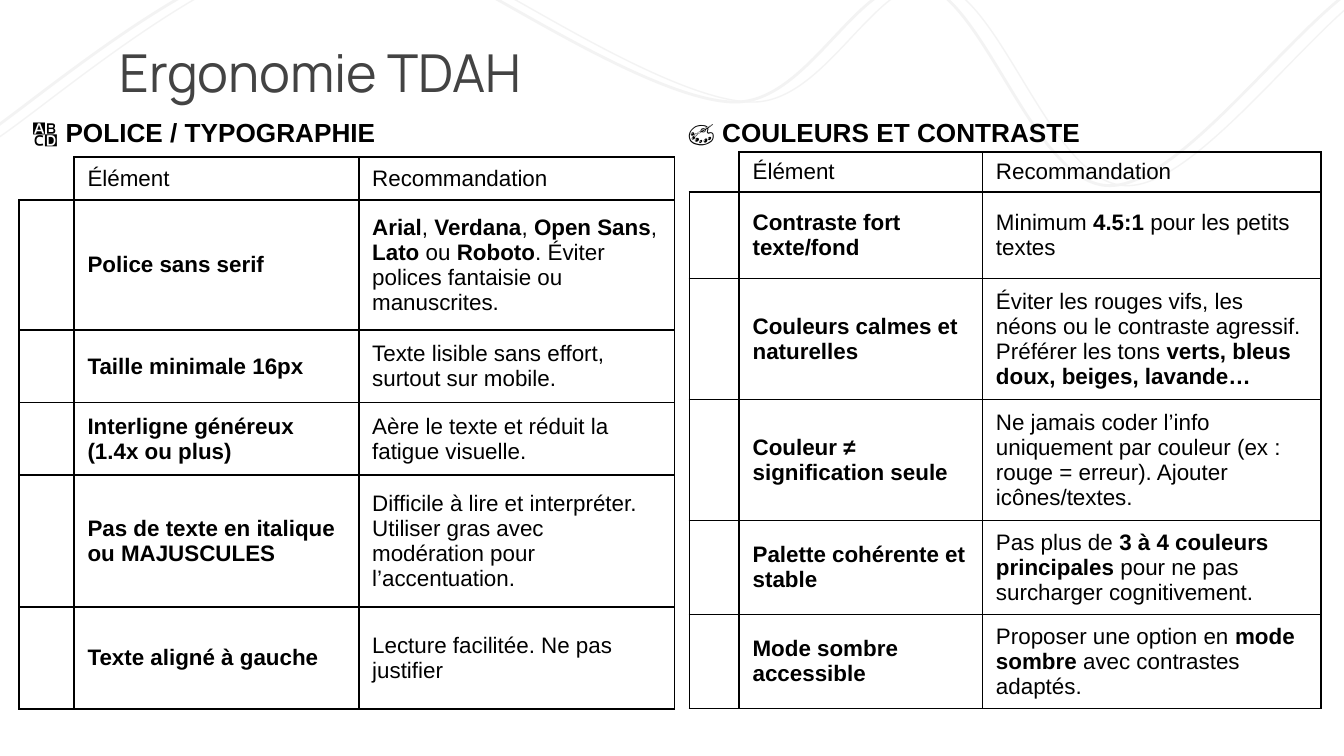
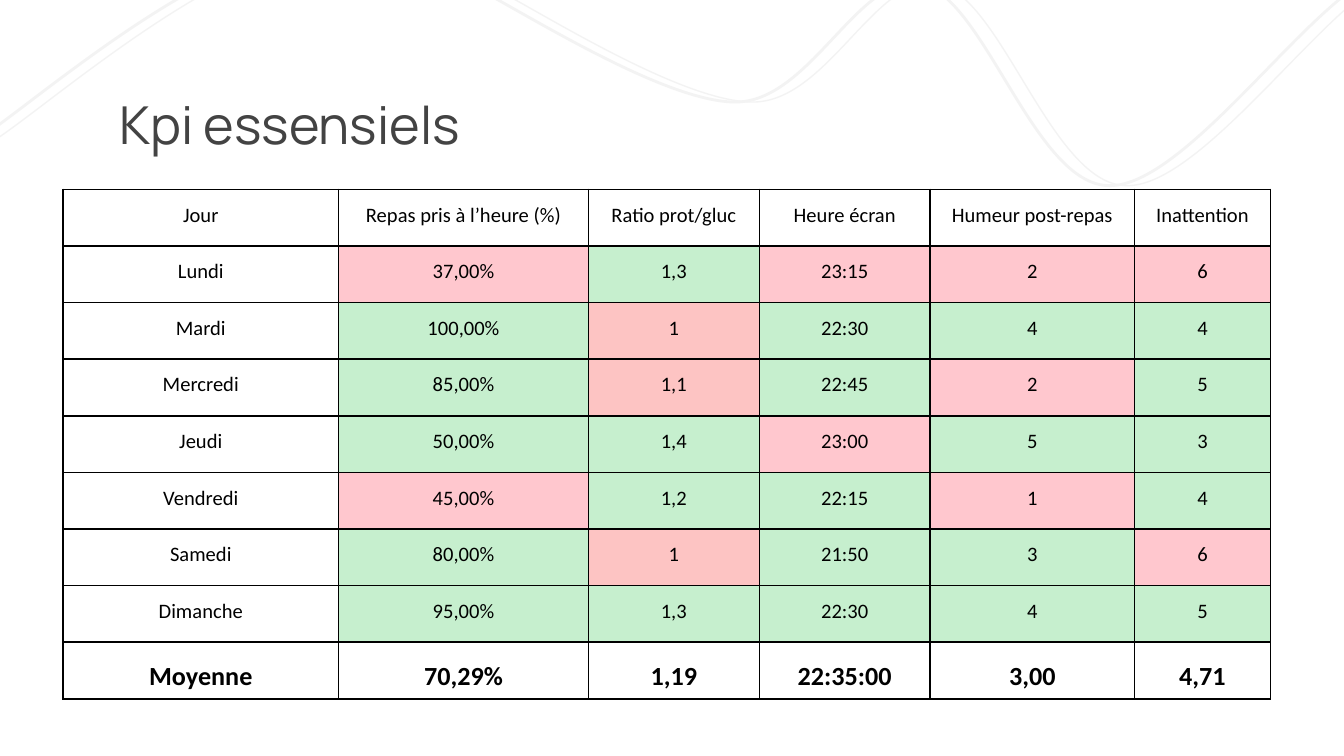
from lxml import etree
from pptx import Presentation
from pptx.dml.color import RGBColor
from pptx.enum.text import MSO_ANCHOR, MSO_AUTO_SIZE, PP_ALIGN
from pptx.oxml.ns import qn
from pptx.util import Cm, Pt

MIDDLE, BOTTOM, TOP = MSO_ANCHOR.MIDDLE, MSO_ANCHOR.BOTTOM, MSO_ANCHOR.TOP
CENTER, LEFT = PP_ALIGN.CENTER, PP_ALIGN.LEFT
FIT_SHAPE = MSO_AUTO_SIZE.SHAPE_TO_FIT_TEXT

BLACK = RGBColor(0x00, 0x00, 0x00)
TITLE_GRAY = RGBColor(0x43, 0x43, 0x43)
WAVE_GRAY = RGBColor(0xF3, 0xF3, 0xF3)
GREEN = RGBColor(0xC6, 0xEF, 0xCE)
RED = RGBColor(0xFF, 0xC7, 0xCE)
SALMON = RGBColor(0xFD, 0xC4, 0xC3)

# Bold passages stand between double asterisks.
HEADER = ("", "Élément", "Recommandation")
TYPOGRAPHY = [
    ("Police sans serif",
     "**Arial**, **Verdana**, **Open Sans**, **Lato** ou **Roboto**. "
     "Éviter polices fantaisie ou manuscrites."),
    ("Taille minimale 16px", "Texte lisible sans effort, surtout sur mobile."),
    ("Interligne généreux (1.4x ou plus)",
     "Aère le texte et réduit la fatigue visuelle."),
    ("Pas de texte en italique ou MAJUSCULES",
     "Difficile à lire et interpréter. Utiliser gras avec modération pour "
     "l’accentuation."),
    ("Texte aligné à gauche", "Lecture facilitée. Ne pas justifier"),
]
CONTRAST = [
    ("Contraste fort texte/fond", "Minimum **4.5:1** pour les petits textes"),
    ("Couleurs calmes et naturelles",
     "Éviter les rouges vifs, les néons ou le contraste agressif. "
     "Préférer les tons **verts, bleus doux, beiges, lavande…**"),
    ("Couleur ≠ signification seule",
     "Ne jamais coder l’info uniquement par couleur (ex : rouge = erreur). "
     "Ajouter icônes/textes."),
    ("Palette cohérente et stable",
     "Pas plus de **3 à 4 couleurs principales** pour ne pas surcharger "
     "cognitivement."),
    ("Mode sombre accessible",
     "Proposer une option en **mode sombre** avec contrastes adaptés."),
]
# Heading, its left edge, table origin, column widths, row heights, rows (cm)
GUIDELINES = [
    ("🎨 **COULEURS ET CONTRASTE**", 12.75, 10.21, (13.03, 2.87),
     (0.94, 4.6, 6.4), (0.66, 1.63, 2.08, 2.08, 1.63, 1.63), CONTRAST),
    ("🔠 **POLICE / TYPOGRAPHIE**", 0.36, 7.62, (0.36, 2.97),
     (1.04, 5.38, 5.97), (0.81, 2.46, 1.37, 1.37, 2.49, 1.93), TYPOGRAPHY),
]

KPI_ROWS = [
    ("Jour", "Repas pris à l’heure (%)", "Ratio prot/gluc", "Heure écran",
     "Humeur post-repas", "Inattention"),
    ("Lundi", "37,00%", "1,3", "23:15", "2", "6"),
    ("Mardi", "100,00%", "1", "22:30", "4", "4"),
    ("Mercredi", "85,00%", "1,1", "22:45", "2", "5"),
    ("Jeudi", "50,00%", "1,4", "23:00", "5", "3"),
    ("Vendredi", "45,00%", "1,2", "22:15", "1", "4"),
    ("Samedi", "80,00%", "1", "21:50", "3", "6"),
    ("Dimanche", "95,00%", "1,3", "22:30", "4", "5"),
    ("Moyenne", "70,29%", "1,19", "22:35:00", "3,00", "4,71"),
]
KPI_WIDTHS = (5.21, 4.72, 3.23, 3.23, 3.86, 2.57)
KPI_ROW_HEIGHT = 1.07
KPI_MARGINS = (0.03, 0.03, 0.03, 0.13)
# Goal met, and the colour when it is not, for each measure
KPI_GOALS = [
    (lambda text: number(text) >= 50, RED),
    (lambda text: number(text) >= 1.2, SALMON),
    (lambda text: text < "23:00", RED),
    (lambda text: number(text) >= 3, RED),
    (lambda text: number(text) <= 5, RED),
]

# Start point, then three Bézier points per curve (cm)
WAVES = [
    [(8.97, -0.41), (9.83, -0.03), (12.73, 1.9), (14.2, 1.93),
     (15.65, 1.96), (16.56, -0.56), (17.75, -0.3),
     (18.95, -0.03), (19.89, 3.53), (21.31, 3.51),
     (22.71, 3.51), (24.97, 0.18), (26.24, -0.41),
     (27.48, -1.02), (28.42, -0.13), (28.85, -0.08)],
    [(-0.13, 2.67), (0.79, 2.08), (3.48, -0.28), (5.44, -0.81),
     (7.42, -1.37), (10.62, -0.66), (11.63, -0.61)],
]
# Horizontal shift (cm) and line width (pt) of each pass
WAVE_PASSES = [(0, 0.75), (-0.33, 1.5)]


def number(text):
    return float(text.strip("%").replace(",", "."))


def add_wave(slide, points, shift, width):
    """Draw a smooth open curve through groups of three Bézier points."""
    path_points = [(Cm(x + shift), Cm(y)) for x, y in points]
    builder = slide.shapes.build_freeform(*path_points[0])
    builder.add_line_segments(path_points[1:], close=False)
    shape = builder.convert_to_shape()
    shape.shadow.inherit = False
    shape.fill.background()
    shape.line.color.rgb = WAVE_GRAY
    shape.line.width = Pt(width)
    path = shape._element.find(".//" + qn("a:path"))
    segments = path.findall(qn("a:lnTo"))
    for start in range(0, len(segments), 3):
        curve = etree.SubElement(path, qn("a:cubicBezTo"))
        for segment in segments[start:start + 3]:
            curve.append(segment[0])
            path.remove(segment)


def write(paragraph, text, font_name, size, color=BLACK):
    for index, part in enumerate(text.split("**")):
        if part:
            run = paragraph.add_run()
            run.text = part
            run.font.name = font_name
            run.font.size = Pt(size)
            run.font.bold = index % 2 == 1
            run.font.color.rgb = color
    if not text:
        etree.SubElement(paragraph._p, qn("a:endParaRPr"), sz=str(size * 100))


def add_text(slide, box, text, font_name, size, color=BLACK):
    shape = slide.shapes.add_textbox(*map(Cm, box))
    shape.text_frame.word_wrap = True
    write(shape.text_frame.paragraphs[0], text, font_name, size, color)
    return shape.text_frame


def add_base_slide(presentation, title, title_top):
    slide = presentation.slides.add_slide(presentation.slide_layouts[6])
    for shift, width in WAVE_PASSES:
        for points in WAVES:
            add_wave(slide, points, shift, width)
    frame = add_text(slide, (2.01, title_top, 21.41, 1.6), title,
                     "Manrope", 28, TITLE_GRAY)
    frame.vertical_anchor = TOP
    frame.margin_top = frame.margin_bottom = Cm(0.25)
    return slide


def set_borders(cell, visible="LRTB"):
    properties = cell._tc.get_or_add_tcPr()
    for side in "LRTB":
        line = etree.SubElement(properties, qn("a:ln" + side), w=str(Pt(1)))
        if side in visible:
            fill = etree.SubElement(line, qn("a:solidFill"))
            etree.SubElement(fill, qn("a:srgbClr"), val=str(BLACK))
        else:
            etree.SubElement(line, qn("a:noFill"))


def add_grid(slide, origin, widths, heights):
    """Add a plain table without style bands."""
    table = slide.shapes.add_table(
        len(heights), len(widths), *map(Cm, origin),
        Cm(sum(widths)), Cm(sum(heights))).table
    table.first_row = table.horz_banding = False
    for column, width in zip(table.columns, widths):
        column.width = Cm(width)
    for row, height in zip(table.rows, heights):
        row.height = Cm(height)
    return table


def fill_cell(cell, text, font_name, size, align=LEFT, anchor=MIDDLE,
              color=None, borders="LRTB"):
    set_borders(cell, borders)
    if color is None:
        cell.fill.background()
    else:
        cell.fill.solid()
        cell.fill.fore_color.rgb = color
    cell.vertical_anchor = anchor
    paragraph = cell.text_frame.paragraphs[0]
    paragraph.alignment = align
    write(paragraph, text, font_name, size)


def build_ergonomics(presentation):
    slide = add_base_slide(presentation, "Ergonomie TDAH", 0.51)
    for heading, left, width, origin, widths, heights, advice in GUIDELINES:
        frame = add_text(slide, (left, 2.08, width, 0.86), heading, "Arial", 14)
        frame.auto_size = FIT_SHAPE
        table = add_grid(slide, origin, widths, heights)
        rows = [HEADER] + [("", f"**{name}**", tip) for name, tip in advice]
        for r, row in enumerate(rows):
            for c, text in enumerate(row):
                borders = "RB" if r == c == 0 else "LRTB"
                fill_cell(table.cell(r, c), text, "Arial", 12, borders=borders)


def build_kpis(presentation):
    slide = add_base_slide(presentation, "Kpi essensiels", 1.5)
    table = add_grid(slide, (1.19, 3.58), KPI_WIDTHS,
                     [KPI_ROW_HEIGHT] * len(KPI_ROWS))
    last = len(KPI_ROWS) - 1
    for r, row in enumerate(KPI_ROWS):
        for c, text in enumerate(row):
            cell = table.cell(r, c)
            (cell.margin_left, cell.margin_top, cell.margin_right,
             cell.margin_bottom) = map(Cm, KPI_MARGINS)
            color = None
            if 0 < r < last and c > 0:
                goal_met, miss_color = KPI_GOALS[c - 1]
                color = GREEN if goal_met(text) else miss_color
            if r == last:
                fill_cell(cell, f"**{text}**", "Calibri", 14, CENTER, BOTTOM)
            else:
                fill_cell(cell, text, "Calibri", 11, CENTER, color=color)


def main():
    presentation = Presentation()
    presentation.slide_width = Cm(25.4)
    presentation.slide_height = Cm(14.29)
    build_ergonomics(presentation)
    build_kpis(presentation)
    presentation.save("out.pptx")


if __name__ == "__main__":
    main()
